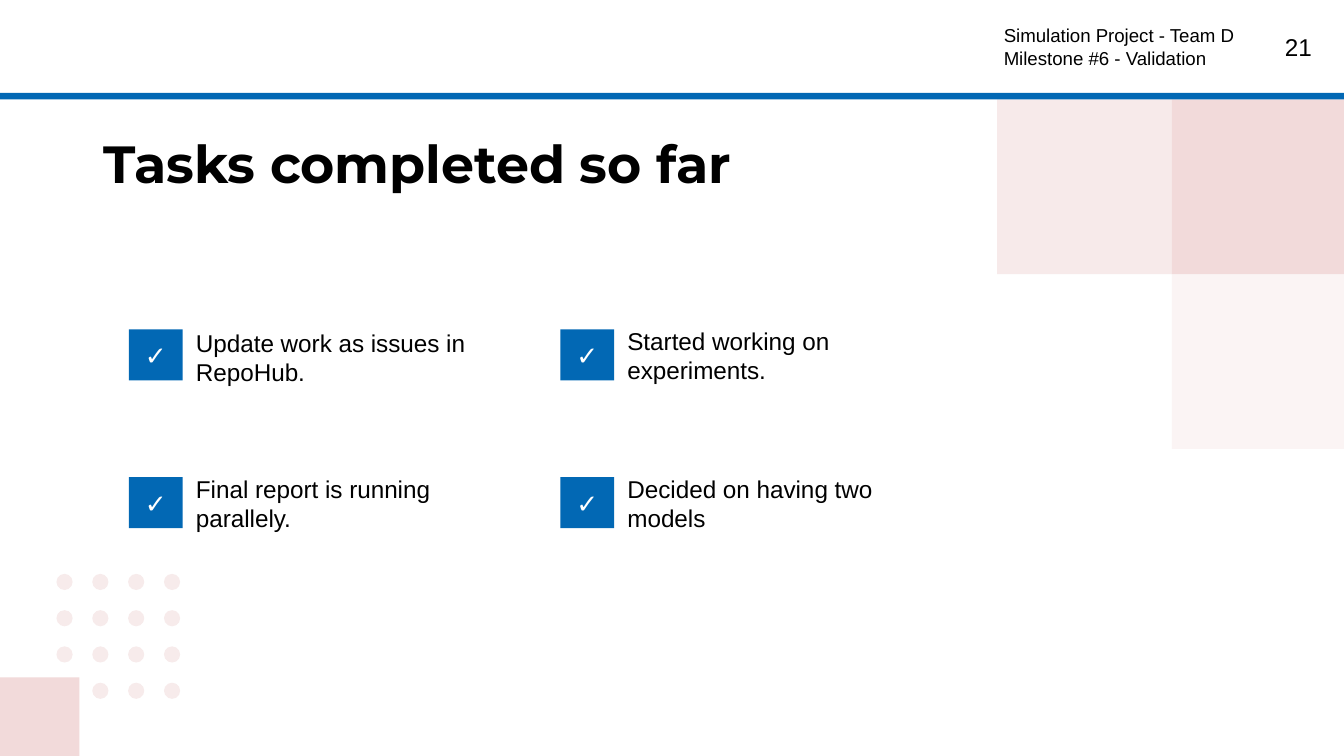
"""Build the slide of completed tasks with a check-box grid."""
from itertools import product

from lxml.etree import SubElement
from pptx import Presentation
from pptx.dml.color import RGBColor
from pptx.enum.shapes import MSO_SHAPE as Shape
from pptx.enum.text import MSO_ANCHOR as Anchor, MSO_AUTO_SIZE as AutoSize, PP_ALIGN as Align
from pptx.oxml.ns import qn
from pptx.util import Inches, Pt

COLORS = {"blue": "0268B4", "pink": "F2DADA", "dot": "F7EBEB", "white": "FFFFFF", "black": "000000"}


def add_block(kind, left, top, width, height, color, opacity=100):
    block = page.shapes.add_shape(kind, Inches(left), Inches(top), Inches(width), Inches(height))
    block.shadow.inherit = False
    block.fill.solid()
    block.fill.fore_color.rgb = RGBColor.from_string(COLORS[color])
    block.line.fill.background()
    if opacity < 100:
        tone = block.fill._xPr.find(qn("a:solidFill"))[0]
        SubElement(tone, qn("a:alpha"), val=str(opacity * 1000))
    return block


def write(box, lines, size, font="Arial", color="black", bold=False,
          align=Align.LEFT, anchor=Anchor.TOP, side=0.1, after=0):
    frame = box.text_frame
    frame.word_wrap = True
    frame.auto_size = AutoSize.NONE
    frame.vertical_anchor = anchor
    frame.margin_left = frame.margin_right = Inches(side)
    frame.margin_top = frame.margin_bottom = Inches(0.1)
    for index, line in enumerate(lines):
        para = frame.add_paragraph() if index else frame.paragraphs[0]
        para.alignment = align
        para.space_before = Pt(0)
        para.space_after = Pt(after)
        span = para.add_run()
        span.text = line
        span.font.size = Pt(size)
        span.font.name = font
        span.font.bold = bold
        span.font.color.rgb = RGBColor.from_string(COLORS[color])


deck = Presentation()
deck.slide_width = Inches(10)
deck.slide_height = Inches(10 * 9 / 16)
page = deck.slides.add_slide(deck.slide_layouts[5])

pitch = 0.8 / 3
for row, column in product(range(4), repeat=2):
    if (row, column) != (3, 0):
        add_block(Shape.OVAL, 0.42 + pitch * column, 4.27 + 0.27 * row, 0.12, 0.12, "dot")

add_block(Shape.RECTANGLE, 0, 5.04, 0.59, 0.59, "pink")
for left, top, opacity in [(8.72, 0.74, 100), (8.72, 2.04, 28), (7.42, 0.74, 55)]:
    add_block(Shape.RECTANGLE, left, top, 1.3, 1.3, "pink", opacity)
add_block(Shape.RECTANGLE, 0, 0, 10, 0.69, "white")
add_block(Shape.RECTANGLE, 0, 0.69, 10, 0.05, "blue")

number = page.shapes.add_textbox(Inches(9.26), Inches(0.14), Inches(0.6), Inches(0.43))
write(number, ["21"], 13, align=Align.RIGHT)
header = page.shapes.add_textbox(Inches(7.37), Inches(0.08), Inches(2.08), Inches(0.52))
write(header, ["Simulation Project - Team D", "Milestone #6 - Validation"], 10)

title = page.shapes.title
title.left, title.top, title.width, title.height = Inches(0.67), Inches(0.88), Inches(8.44), Inches(0.63)
write(title, ["Tasks completed so far"], 28, font="Montserrat", bold=True)

tasks = [
    (0.96, 2.45, 2.34, "Update work as issues in RepoHub."),
    (4.17, 2.45, 2.33, "Started working on experiments."),
    (0.96, 3.55, 3.43, "Final report is running parallely."),
    (4.17, 3.55, 3.43, "Decided on having two models"),
]
for left, check_top, label_top, task in tasks:
    label = page.shapes.add_textbox(Inches(left + 0.4), Inches(label_top), Inches(2.43), Inches(0.63))
    write(label, [task], 13, after=8)
    check = add_block(Shape.RECTANGLE, left, check_top, 0.4, 0.38, "blue")
    write(check, ["✓"], 14, font="Montserrat", color="white", bold=True,
          align=Align.CENTER, anchor=Anchor.MIDDLE, side=0)

deck.save("out.pptx")
